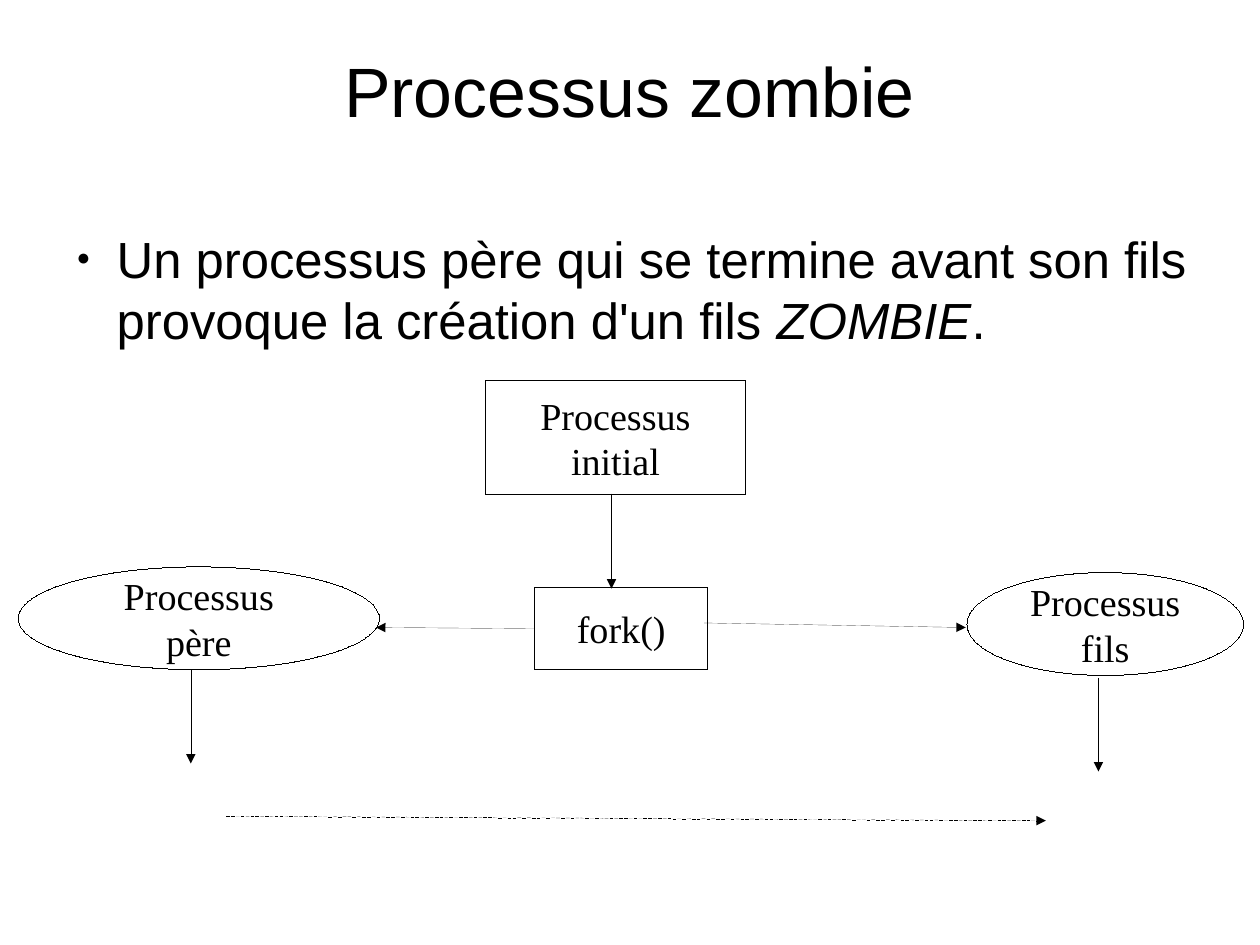
import dataclasses

import lxml.etree
import pptx
import pptx.dml.color
import pptx.enum.dml
import pptx.enum.shapes
import pptx.enum.text
import pptx.oxml.ns
import pptx.util

Inches = pptx.util.Inches
Pt = pptx.util.Pt
RECTANGLE = pptx.enum.shapes.MSO_SHAPE.RECTANGLE
ELLIPSE = pptx.enum.shapes.MSO_SHAPE.OVAL
CENTER = pptx.enum.text.PP_ALIGN.CENTER
LEFT = pptx.enum.text.PP_ALIGN.LEFT
CM_PER_INCH = 2.54


@dataclasses.dataclass(frozen=True)
class Theme:
    ink: pptx.dml.color.RGBColor = pptx.dml.color.RGBColor(0, 0, 0)
    text_font: str = "Arial"
    node_font: str = "Times New Roman"
    title_size: int = 44
    body_size: int = 32
    node_size: int = 24
    line_width: int = 0


def add_element(parent, tag, **attributes):
    return lxml.etree.SubElement(parent, pptx.oxml.ns.qn(tag), attributes)


class ProcessSlide:
    def __init__(self, deck, theme):
        self.theme = theme
        self.page = deck.slides.add_slide(deck.slide_layouts[5])

    def style_frame(self, frame, font, size, alignment, anchor):
        frame.word_wrap = True
        frame.vertical_anchor = anchor
        frame.margin_left = frame.margin_right = Inches(0)
        frame.margin_top = frame.margin_bottom = Inches(0)
        for para in frame.paragraphs:
            para.alignment = alignment
            for span in para.runs:
                span.font.name = font
                span.font.size = Pt(size)
                span.font.color.rgb = self.theme.ink

    def style_outline(self, shape):
        element = shape._element
        element.remove(element.find(pptx.oxml.ns.qn("p:style")))
        shape.line.color.rgb = self.theme.ink
        shape.line.width = Pt(self.theme.line_width)

    def title(self, text, left, top, width, height):
        box = self.page.shapes.title
        box.left, box.top = Inches(left), Inches(top)
        box.width, box.height = Inches(width), Inches(height)
        box.text_frame.text = text
        self.style_frame(box.text_frame, self.theme.text_font, self.theme.title_size,
                         CENTER, pptx.enum.text.MSO_ANCHOR.MIDDLE)

    def bullet(self, pieces, left, top, width, height):
        box = self.page.shapes.add_textbox(
            Inches(left), Inches(top), Inches(width), Inches(height))
        para = box.text_frame.paragraphs[0]
        for text, italic in pieces:
            span = para.add_run()
            span.text = text
            span.font.italic = italic
        self.style_frame(box.text_frame, self.theme.text_font, self.theme.body_size,
                         LEFT, pptx.enum.text.MSO_ANCHOR.TOP)
        para.space_after = Pt(14.1)
        properties = para._p.get_or_add_pPr()
        properties.set("marL", str(Inches(0.47)))
        properties.set("indent", str(Inches(-0.35)))
        color = add_element(properties, "a:buClr")
        add_element(color, "a:srgbClr", val=str(self.theme.ink))
        add_element(properties, "a:buSzPct", val="45000")
        add_element(properties, "a:buFont", typeface=self.theme.text_font)
        add_element(properties, "a:buChar", char="●")

    def node(self, kind, text, left, top, width, height):
        box = self.page.shapes.add_shape(
            kind, Inches(left), Inches(top), Inches(width), Inches(height))
        box.shadow.inherit = False
        box.fill.background()
        self.style_outline(box)
        box.text_frame.text = text
        self.style_frame(box.text_frame, self.theme.node_font, self.theme.node_size,
                         CENTER, pptx.enum.text.MSO_ANCHOR.MIDDLE)

    def arrow(self, start, end, dash=None):
        connector = self.page.shapes.add_connector(
            pptx.enum.shapes.MSO_CONNECTOR.STRAIGHT,
            *(Inches(value) for value in start + end))
        self.style_outline(connector)
        if dash is not None:
            connector.line.dash_style = dash
        add_element(connector.line._get_or_add_ln(), "a:tailEnd", type="triangle")
        add_element(connector._element.spPr, "a:effectLst")


def main():
    deck = pptx.Presentation()
    deck.slide_width = Inches(28 / CM_PER_INCH)
    deck.slide_height = Inches(21 / CM_PER_INCH)
    slide = ProcessSlide(deck, Theme())

    slide.title("Processus zombie", 0.55, 0.31, 9.92, 0.94)
    slide.bullet([
        ("Un processus père qui se termine avant son fils "
         "provoque la création d'un fils ", False),
        ("ZOMBIE", True),
        (".", False),
    ], 0.55, 1.99, 9.92, 4.79)

    slide.node(RECTANGLE, "Processus\ninitial", 4.25, 3.33, 2.27, 1)
    slide.node(RECTANGLE, "fork()", 4.68, 5.14, 1.51, 0.72)
    slide.node(ELLIPSE, "Processus\npère", 0.16, 4.96, 3.16, 0.9)
    slide.node(ELLIPSE, "Processus\nfils", 8.46, 5.01, 2.42, 0.9)

    for start, end in [
        ((5.35, 4.32), (5.35, 5.15)),
        ((4.68, 5.5), (3.29, 5.49)),
        ((6.16, 5.45), (8.45, 5.49)),
        ((1.67, 5.86), (1.67, 6.68)),
        ((9.61, 5.93), (9.61, 6.75)),
    ]:
        slide.arrow(start, end)
    slide.arrow((1.98, 7.14), (9.15, 7.18), pptx.enum.dml.MSO_LINE.SQUARE_DOT)

    deck.save("out.pptx")


if __name__ == "__main__":
    main()
